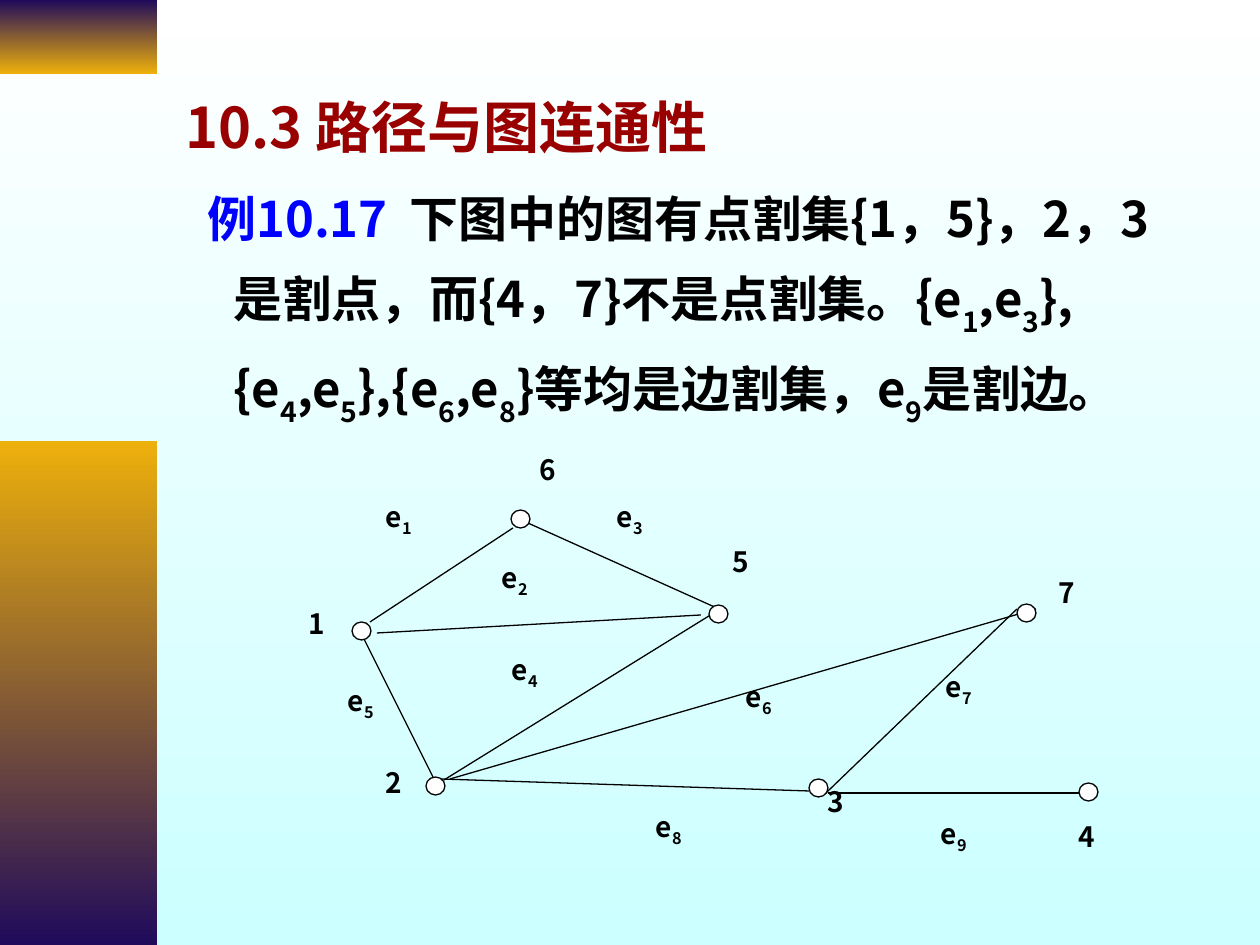
from typing import NamedTuple

from pptx import Presentation
from pptx.dml.color import RGBColor
from pptx.enum.shapes import MSO_CONNECTOR, MSO_SHAPE
from pptx.enum.text import MSO_ANCHOR, PP_ALIGN
from pptx.oxml.ns import qn
from pptx.util import Emu, Pt

STRAIGHT = MSO_CONNECTOR.STRAIGHT
RECT, OVAL = MSO_SHAPE.RECTANGLE, MSO_SHAPE.OVAL
TOP, LEFT = MSO_ANCHOR.TOP, PP_ALIGN.LEFT

EMU_PER_PX = 914400 // 126
FONT = "Noto Sans CJK SC"
COLORS = {
    "black": "000000", "white": "FFFFFF", "sky": "CCFFFF", "navy": "200B5B",
    "gold": "EEB00B", "red": "990000", "blue": "0000FF",
}
NODE_W, NODE_H = 19, 18
LINE_SPACING = 1.3


class Node(NamedTuple):
    name: str
    x: int
    y: int
    label_x: int
    label_y: int


class Edge(NamedTuple):
    name: str
    x1: int
    y1: int
    x2: int
    y2: int
    label_x: int
    label_y: int


NODES = [
    Node("1", 352, 622, 309, 607),
    Node("2", 426, 777, 386, 766),
    Node("3", 809, 779, 828, 785),
    Node("4", 1079, 783, 1079, 820),
    Node("5", 709, 605, 733, 545),
    Node("6", 511, 510, 540, 453),
    Node("7", 1017, 604, 1059, 576),
]
EDGES = [
    Edge("e_1", 370, 622, 513, 528, 386, 500),
    Edge("e_2", 377, 633, 701, 615, 502, 561),
    Edge("e_3", 519, 519, 719, 609, 617, 500),
    Edge("e_4", 717, 611, 444, 780, 512, 653),
    Edge("e_5", 358, 627, 435, 781, 348, 684),
    Edge("e_6", 450, 779, 1036, 609, 746, 680),
    Edge("e_7", 1017, 609, 825, 794, 946, 670),
    Edge("e_8", 440, 779, 809, 791, 656, 810),
    Edge("e_9", 828, 793, 1096, 793, 941, 817),
]


def px(n: int) -> Emu:
    return Emu(n * EMU_PER_PX)


def rgb(name: str) -> RGBColor:
    return RGBColor.from_string(COLORS[name])


def add_text(p, text: str, *, size: int, color: str = "black", drop: int = 25) -> None:
    """Append bold text; the character after each underscore is a subscript."""
    first, *rest = text.split("_")
    pieces = [(first, False)]
    for part in rest:
        pieces += [(part[0], True), (part[1:], False)]
    for piece, is_sub in pieces:
        if not piece:
            continue
        r = p.add_run()
        r.text = piece
        r.font.name, r.font.size, r.font.bold = FONT, Pt(size), True
        r.font.color.rgb = rgb(color)
        rPr = r.font._element
        ea = rPr.makeelement(qn("a:ea"), {"typeface": FONT})
        rPr.find(qn("a:latin")).addnext(ea)
        if is_sub:
            rPr.set("baseline", str(-drop * 1000))


def place(sp, x: int, y: int, w: int, h: int) -> None:
    sp.left, sp.top, sp.width, sp.height = map(px, (x, y, w, h))


def set_gradient(fill, start: str, end: str) -> None:
    """Fill from start at the top to end at the bottom."""
    fill.gradient()
    fill.gradient_angle = 270
    for stop, color, pos in zip(fill.gradient_stops, (start, end), (0, 1)):
        stop.color.rgb = rgb(color)
        stop.position = pos


def add_bar(s, y: int, h: int, start: str, end: str) -> None:
    sp = s.shapes.add_shape(RECT, 0, px(y), px(157), px(h))
    sp.shadow.inherit = False
    sp.line.fill.background()
    set_gradient(sp.fill, start, end)


def add_label(s, text: str, x: int, y: int) -> None:
    w = 77 if "_" in text else 39
    tf = s.shapes.add_textbox(px(x), px(y), px(w), px(62)).text_frame
    tf.word_wrap = True
    tf.margin_left = tf.margin_right = tf.margin_top = tf.margin_bottom = 0
    add_text(tf.paragraphs[0], text, size=16)


def add_edge(s, edge: Edge) -> None:
    ends = map(px, (edge.x1, edge.y1, edge.x2, edge.y2))
    line = s.shapes.add_connector(STRAIGHT, *ends)
    line.line.color.rgb = rgb("black")
    line.line.width = Pt(0.75)
    spPr = line._element.spPr
    spPr.append(spPr.makeelement(qn("a:effectLst"), {}))


def add_node(s, node: Node) -> None:
    sp = s.shapes.add_shape(OVAL, px(node.x), px(node.y), px(NODE_W), px(NODE_H))
    sp.shadow.inherit = False
    sp.fill.solid()
    sp.fill.fore_color.rgb = rgb("white")
    sp.line.color.rgb = rgb("black")
    sp.line.width = Pt(0.75)


def add_title(s) -> None:
    title = s.shapes.title
    place(title, 173, 66, 1032, 99)
    tf = title.text_frame
    tf.vertical_anchor = TOP
    p = tf.paragraphs[0]
    p.alignment, p.line_spacing = LEFT, LINE_SPACING
    add_text(p, "10.3 路径与图连通性", size=32, color="red")


def add_example(s) -> None:
    tf = s.shapes.add_textbox(px(173), px(165), px(1032), px(350)).text_frame
    tf.word_wrap = True
    p = tf.paragraphs[0]
    p.line_spacing = LINE_SPACING
    pPr = p._p.get_or_add_pPr()
    pPr.set("marL", str(px(48)))
    pPr.set("indent", str(px(-26)))
    add_text(p, "例10.17  ", size=28, color="blue")
    add_text(p, "下图中的图有点割集{1，5}，2，3是割点，而{4，7}不是点割集。"
                "{e_1,e_3},{e_4,e_5},{e_6,e_8}等均是边割集，e_9是割边。",
             size=28, drop=30)


def main() -> None:
    prs = Presentation()
    prs.slide_width, prs.slide_height = px(1260), px(945)
    s = prs.slides.add_slide(prs.slide_layouts[5])
    set_gradient(s.background.fill, "white", "sky")
    add_bar(s, 0, 74, "navy", "gold")
    add_bar(s, 441, 504, "gold", "navy")
    add_title(s)
    add_example(s)
    for edge in EDGES:
        add_edge(s, edge)
        add_label(s, edge.name, edge.label_x, edge.label_y)
    for node in NODES:
        add_node(s, node)
        add_label(s, node.name, node.label_x, node.label_y)
    prs.save("out.pptx")


if __name__ == "__main__":
    main()
